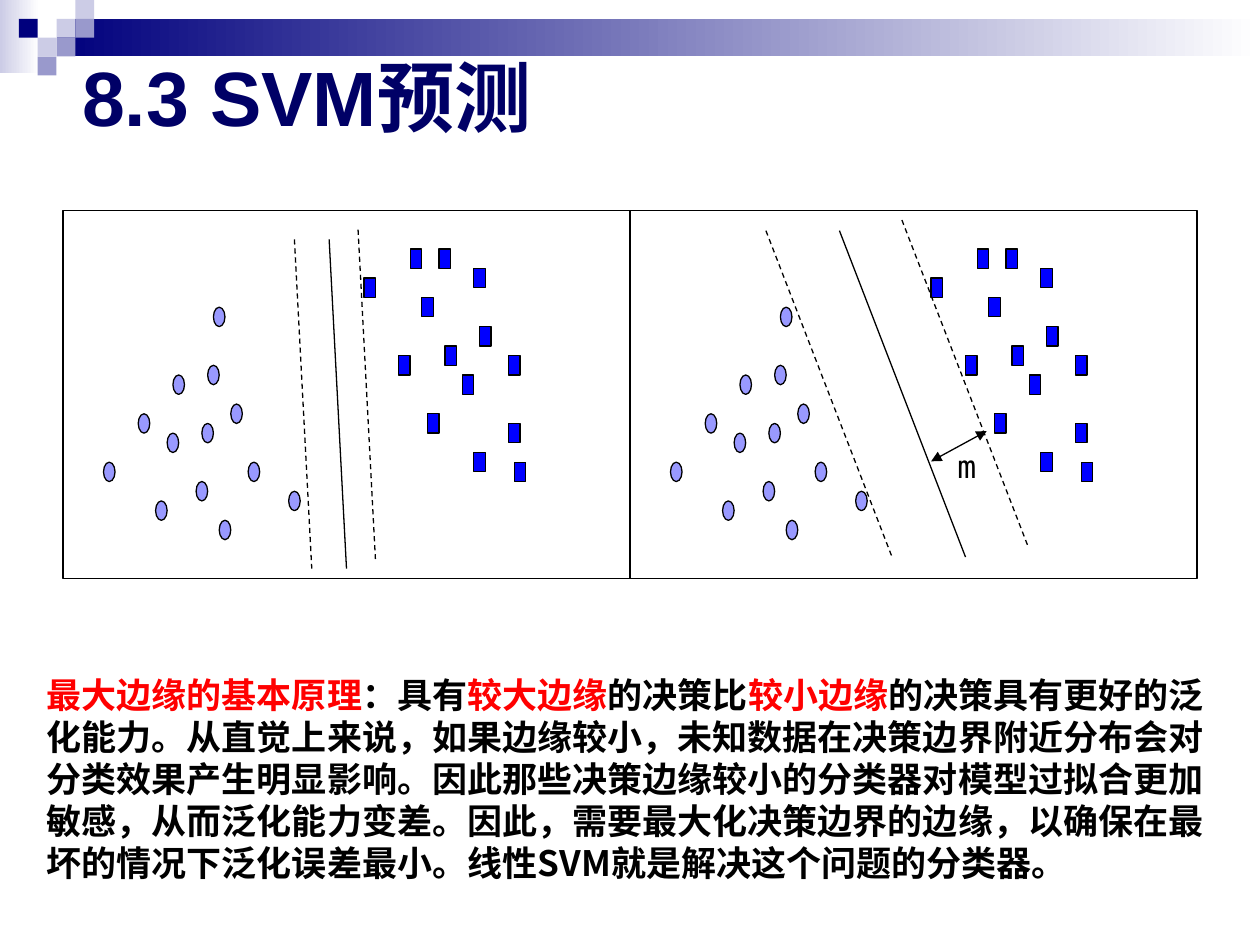
import pptx
import pptx.util
import pptx.dml.color
import pptx.enum.dml
import pptx.enum.shapes
import pptx.enum.text
import pptx.oxml
import pptx.oxml.ns
from pptx.util import Cm, Pt

SHAPE = pptx.enum.shapes.MSO_SHAPE
ANCHOR = pptx.enum.text.MSO_ANCHOR
DASH = pptx.enum.dml.MSO_LINE.DASH
RGB = pptx.dml.color.RGBColor.from_string
HEX = {"navy": "00007D", "pale": "CCCCE6", "mauve": "9999CC", "white": "FFFFFF",
       "title": "000066", "dot": "9999FF", "box": "0000FF", "black": "000000",
       "red": "FF0000"}


def shape(owner, kind, left, top, width, height, fill=None, line=None):
    """Add a shape, in cm; a pair of fill names makes a left-to-right gradient."""
    item = owner.add_shape(kind, Cm(left), Cm(top), Cm(width), Cm(height))
    item.shadow.inherit = False
    if fill is None:
        item.fill.background()
    elif isinstance(fill, tuple):
        item.fill.gradient()
        item.fill.gradient_angle = 0
        for stop, name in zip(item.fill.gradient_stops, fill):
            stop.color.rgb = RGB(HEX[name])
    else:
        item.fill.solid()
        item.fill.fore_color.rgb = RGB(HEX[fill])
    if line:
        item.line.color.rgb = RGB(HEX[line])
        item.line.width = Pt(0.75)
    else:
        item.line.fill.background()


def rule(owner, x1, y1, x2, y2, dash=False):
    """Add a thin black straight line, in cm."""
    item = owner.add_connector(pptx.enum.shapes.MSO_CONNECTOR.STRAIGHT,
                               Cm(x1), Cm(y1), Cm(x2), Cm(y2))
    item.line.color.rgb = RGB(HEX["black"])
    item.line.width = Pt(0.75)
    if dash:
        item.line.dash_style = DASH
    props = item._element.spPr
    props.append(pptx.oxml.parse_xml(
        "<a:effectLst %s/>" % pptx.oxml.ns.nsdecls("a")))
    return item


deck = pptx.Presentation()
deck.slide_width, deck.slide_height = Cm(25.4), Cm(19.05)
slide = deck.slides.add_slide(deck.slide_layouts[5])

# Header band and its mosaic of squares
shape(slide.shapes, SHAPE.RECTANGLE, 0, 0, 0.79, 1.48, ("pale", "white"))
shape(slide.shapes, SHAPE.RECTANGLE, 1.14, 0.38, 24.26, 0.76, ("navy", "white"))
tile = 0.38
for col, row, name in [(3, 1, "pale"), (4, 0, "pale"), (4, 1, "mauve"),
                       (2, 2, "pale"), (1, 1, "navy"), (3, 2, "mauve"),
                       (2, 3, "mauve")]:
    shape(slide.shapes, SHAPE.RECTANGLE, col * tile, row * tile, tile, tile, name)

title = slide.shapes.title
title.left, title.top, title.width, title.height = Cm(1.4), Cm(1.07), Cm(25.4), Cm(1.7)
frame = title.text_frame
frame.text = "8.3 SVM预测"
frame.vertical_anchor = ANCHOR.MIDDLE
para = frame.paragraphs[0]
para.alignment = pptx.enum.text.PP_ALIGN.LEFT
para.font.name, para.font.size, para.font.bold = "Arial", Pt(44), True
para.font.color.rgb = RGB(HEX["title"])

# Two panels with the same points, placed on a grid of 98 by 38 cells
wide, high, top = 11.43, 7.42, 4.24
dx, dy = wide / 98, high / 38
dots = [(16, 30), (18, 23), (7, 26), (13, 21), (23, 28), (19, 17), (24, 22),
        (25, 16), (29, 20), (32, 26), (27, 32), (39, 29), (26, 10)]
boxes = [(58, 15), (52, 7), (60, 4), (63, 21), (62, 9), (66, 14), (65, 4),
         (71, 6), (69, 17), (72, 12), (71, 25), (77, 15), (77, 22), (78, 26)]
# Each panel: left edge, then margins and boundary as (x1, y1, x2, y2, dashed)
panels = [(1.27, [(51, 2, 54, 36, True), (40, 3, 43, 37, True),
                  (46, 3, 49, 37, False)]),
          (12.7, [(23.5, 2.1, 45.3, 35.8, True), (47, 1, 68.8, 34.7, True),
                  (36.2, 2.1, 58, 35.8, False)])]
for left, lines in panels:
    group = slide.shapes.add_group_shape().shapes
    for kind, cells, name in [(SHAPE.OVAL, dots, "dot"),
                              (SHAPE.RECTANGLE, boxes, "box")]:
        for x, y in cells:
            shape(group, kind, left + x * dx, top + y * dy, 2 * dx, 2 * dy,
                  name, "black")
    shape(group, SHAPE.RECTANGLE, left, top, wide, high, line="black")
    for x1, y1, x2, y2, dash in lines:
        rule(group, left + x1 * dx, top + y1 * dy,
             left + x2 * dx, top + y2 * dy, dash)

# Margin width
arrow = rule(slide.shapes, 18.77, 9.3, 19.89, 8.69)
for end in ("headEnd", "tailEnd"):
    arrow.line._get_or_add_ln().append(pptx.oxml.parse_xml(
        '<a:%s %s type="triangle"/>' % (end, pptx.oxml.ns.nsdecls("a"))))
label = slide.shapes.add_textbox(Cm(19.05), Cm(8.89), Cm(1.47), Cm(1.02))
label.text_frame.word_wrap = True
label.text_frame.text = "m"
para = label.text_frame.paragraphs[0]
para.font.name, para.font.size = "DejaVu Sans Mono", Pt(18)
para.font.color.rgb = RGB(HEX["black"])

# Principle
note = slide.shapes.add_textbox(Cm(0.69), Cm(13.46), Cm(24.05), Cm(4.52))
note.text_frame.word_wrap = True
para = note.text_frame.paragraphs[0]
para.line_spacing = Pt(24)
para.font.name, para.font.size, para.font.bold = "Noto Sans CJK SC", Pt(20), True
for text, name in [
        ("最大边缘的基本原理", "red"), ("：具有", "black"), ("较大边缘", "red"),
        ("的决策比", "black"), ("较小边缘", "red"),
        ("的决策具有更好的泛化能力。从直觉上来说，如果边缘较小，未知数据在决策边界附近"
         "分布会对分类效果产生明显影响。因此那些决策边缘较小的分类器对模型过拟合更加敏感，"
         "从而泛化能力变差。因此，需要最大化决策边界的边缘，以确保在最坏的情况下泛化误差"
         "最小。线性SVM就是解决这个问题的分类器。", "black")]:
    run = para.add_run()
    run.text = text
    run.font.color.rgb = RGB(HEX[name])

deck.save("out.pptx")
